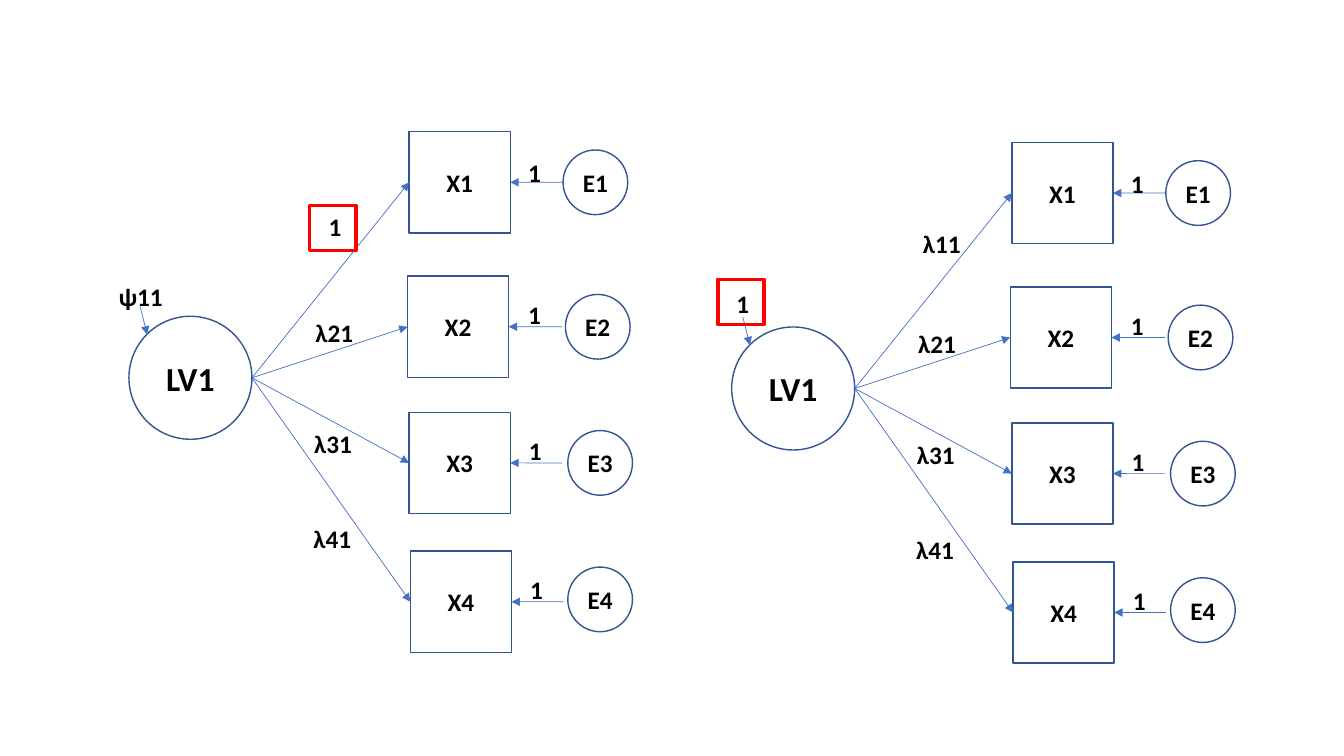
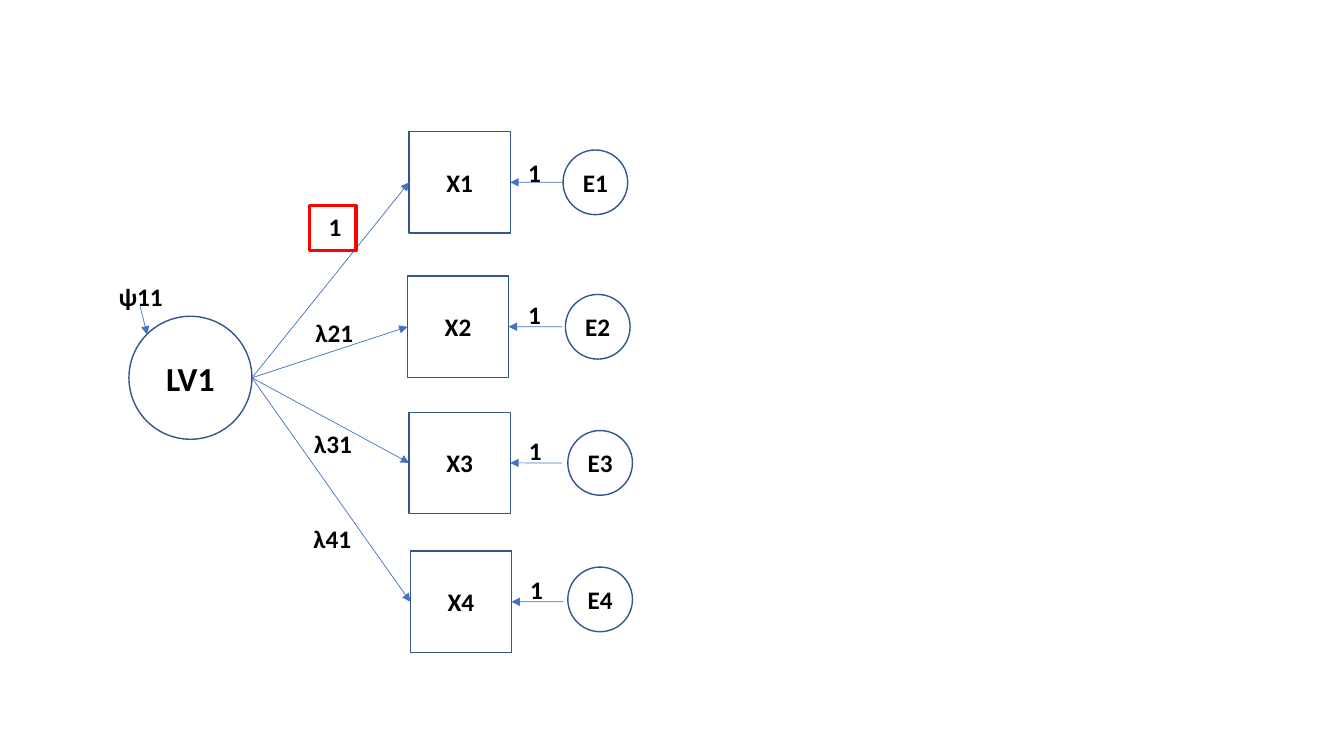
from dataclasses import dataclass

from lxml import etree
from pptx import Presentation
from pptx.dml.color import RGBColor
from pptx.enum.shapes import MSO_CONNECTOR, MSO_SHAPE
from pptx.enum.text import MSO_ANCHOR, MSO_AUTO_SIZE, PP_ALIGN
from pptx.oxml.ns import qn
from pptx.util import Cm, Pt

RECTANGLE, OVAL = MSO_SHAPE.RECTANGLE, MSO_SHAPE.OVAL
STRAIGHT = MSO_CONNECTOR.STRAIGHT
CENTER, MIDDLE = PP_ALIGN.CENTER, MSO_ANCHOR.MIDDLE
FIT_TEXT = MSO_AUTO_SIZE.SHAPE_TO_FIT_TEXT
LEFT_SIDE, RIGHT_SIDE = 1, 3


@dataclass(frozen=True)
class Theme:
    font: str = "Calibri"
    ink: RGBColor = RGBColor(0x00, 0x00, 0x00)
    paper: RGBColor = RGBColor(0xFF, 0xFF, 0xFF)
    outline: RGBColor = RGBColor(0x32, 0x54, 0x91)
    arrow: RGBColor = RGBColor(0x44, 0x72, 0xC4)
    highlight: RGBColor = RGBColor(0xFF, 0x00, 0x00)
    label_size: Pt = Pt(18)
    latent_size: Pt = Pt(24)
    outline_width: Pt = Pt(1)
    arrow_width: Pt = Pt(0.5)
    highlight_width: Pt = Pt(2.5)


THEME = Theme()

# Content shared by every model; all lengths in cm
SLIDE_SIZE = (33.87, 19.05)
INDICATOR_SIZE, ERROR_SIZE, LATENT_SIZE = 2.55, 1.63, 3.1
FRAME_SIZE = (1.17, 1.14)
LABEL_HEIGHT = 1.03
LABEL_WIDTHS = {"1": 0.84, "ψ11": 1.63}
LAMBDA_WIDTH = 1.47

LATENT = ("LV1", 3.25, 7.97)
VARIANCE_ARROW = ((3.53, 7.72), (3.71, 8.43))
ERROR_WEIGHT = "1"
# indicator, its corner, error term, its corner, error arrow start, weight corner
INDICATORS = [
    ("X1", (10.31, 3.32), "E1", (14.19, 3.78), 14.2, (13.06, 3.84)),
    ("X2", (10.27, 6.96), "E2", (14.25, 7.42), 14.16, (13.06, 7.42)),
    ("X3", (10.31, 10.39), "E3", (14.31, 10.85), 14.16, (13.08, 10.85)),
    ("X4", (10.34, 13.89), "E4", (14.31, 14.29), 14.2, (13.11, 14.35)),
]
FREE_LOADINGS = [("λ21", 7.7, 7.87), ("λ31", 7.67, 10.67), ("λ41", 7.65, 13.06)]

# The two ways of setting the scale of the latent variable
FIXED_LOADING = {
    "origin": (0, 0),
    "labels": [("1", 8.03, 5.21), ("ψ11", 2.74, 6.96)],
    "frame": (7.8, 5.18),
}
FIXED_VARIANCE = {
    "origin": (15.19, 0.27),
    "labels": [("λ11", 7.82, 5.35), ("1", 3.12, 6.87)],
    "frame": (2.9, 6.77),
}
SLIDES = [[FIXED_LOADING, FIXED_VARIANCE], [FIXED_LOADING]]


def write(shape, text, size):
    frame = shape.text_frame
    frame.word_wrap = False
    frame.text = text
    font = frame.paragraphs[0].runs[0].font
    font.name, font.size, font.bold = THEME.font, size, True
    font.color.rgb = THEME.ink


class ModelDiagram:
    """Draws on one slide, measured from the model's origin."""

    def __init__(self, slide, origin):
        self.shapes = slide.shapes
        self.origin = origin

    def place(self, x, y):
        return Cm(self.origin[0] + x), Cm(self.origin[1] + y)

    def node(self, kind, text, x, y, side, size=THEME.label_size):
        node = self.shapes.add_shape(kind, *self.place(x, y), Cm(side), Cm(side))
        node.shadow.inherit = False
        node.fill.solid()
        node.fill.fore_color.rgb = THEME.paper
        node.line.color.rgb = THEME.outline
        node.line.width = THEME.outline_width
        write(node, text, size)
        node.text_frame.vertical_anchor = MIDDLE
        node.text_frame.paragraphs[0].alignment = CENTER
        return node

    def label(self, text, x, y):
        width = LABEL_WIDTHS.get(text, LAMBDA_WIDTH)
        label = self.shapes.add_textbox(*self.place(x, y), Cm(width), Cm(LABEL_HEIGHT))
        write(label, text, THEME.label_size)
        label.text_frame.auto_size = FIT_TEXT

    def arrow(self, start, end):
        arrow = self.shapes.add_connector(STRAIGHT, *self.place(*start), *self.place(*end))
        arrow.line.color.rgb = THEME.arrow
        arrow.line.width = THEME.arrow_width
        etree.SubElement(arrow.line._get_or_add_ln(), qn("a:tailEnd"), type="triangle")
        etree.SubElement(arrow._element.spPr, qn("a:effectLst"))
        return arrow

    def highlight(self, x, y):
        width, height = FRAME_SIZE
        frame = self.shapes.add_shape(RECTANGLE, *self.place(x, y), Cm(width), Cm(height))
        frame.shadow.inherit = False
        frame.fill.background()
        frame.line.color.rgb = THEME.highlight
        frame.line.width = THEME.highlight_width


def draw_model(slide, model):
    diagram = ModelDiagram(slide, model["origin"])

    # Latent variable and its variance
    name, x, y = LATENT
    diagram.node(OVAL, name, x, y, LATENT_SIZE, THEME.latent_size)
    diagram.arrow(*VARIANCE_ARROW)
    latent_exit = (x + LATENT_SIZE, y + LATENT_SIZE / 2)

    # Indicators with their loading and error arrows
    for name, (x, y), error, error_corner, error_start, weight_corner in INDICATORS:
        indicator = diagram.node(RECTANGLE, name, x, y, INDICATOR_SIZE)
        diagram.node(OVAL, error, *error_corner, ERROR_SIZE)
        middle = y + INDICATOR_SIZE / 2
        loading_arrow = diagram.arrow(latent_exit, (x, middle))
        loading_arrow.end_connect(indicator, LEFT_SIDE)
        error_arrow = diagram.arrow((error_start, middle), (x + INDICATOR_SIZE, middle))
        error_arrow.end_connect(indicator, RIGHT_SIDE)
        diagram.label(ERROR_WEIGHT, *weight_corner)

    # Parameter labels and the frame round the fixed one
    for label in FREE_LOADINGS + model["labels"]:
        diagram.label(*label)
    diagram.highlight(*model["frame"])


def main():
    deck = Presentation()
    deck.slide_width, deck.slide_height = map(Cm, SLIDE_SIZE)
    blank_layout = deck.slide_layouts[6]
    for models in SLIDES:
        slide = deck.slides.add_slide(blank_layout)
        for model in models:
            draw_model(slide, model)
    deck.save("out.pptx")


if __name__ == "__main__":
    main()
